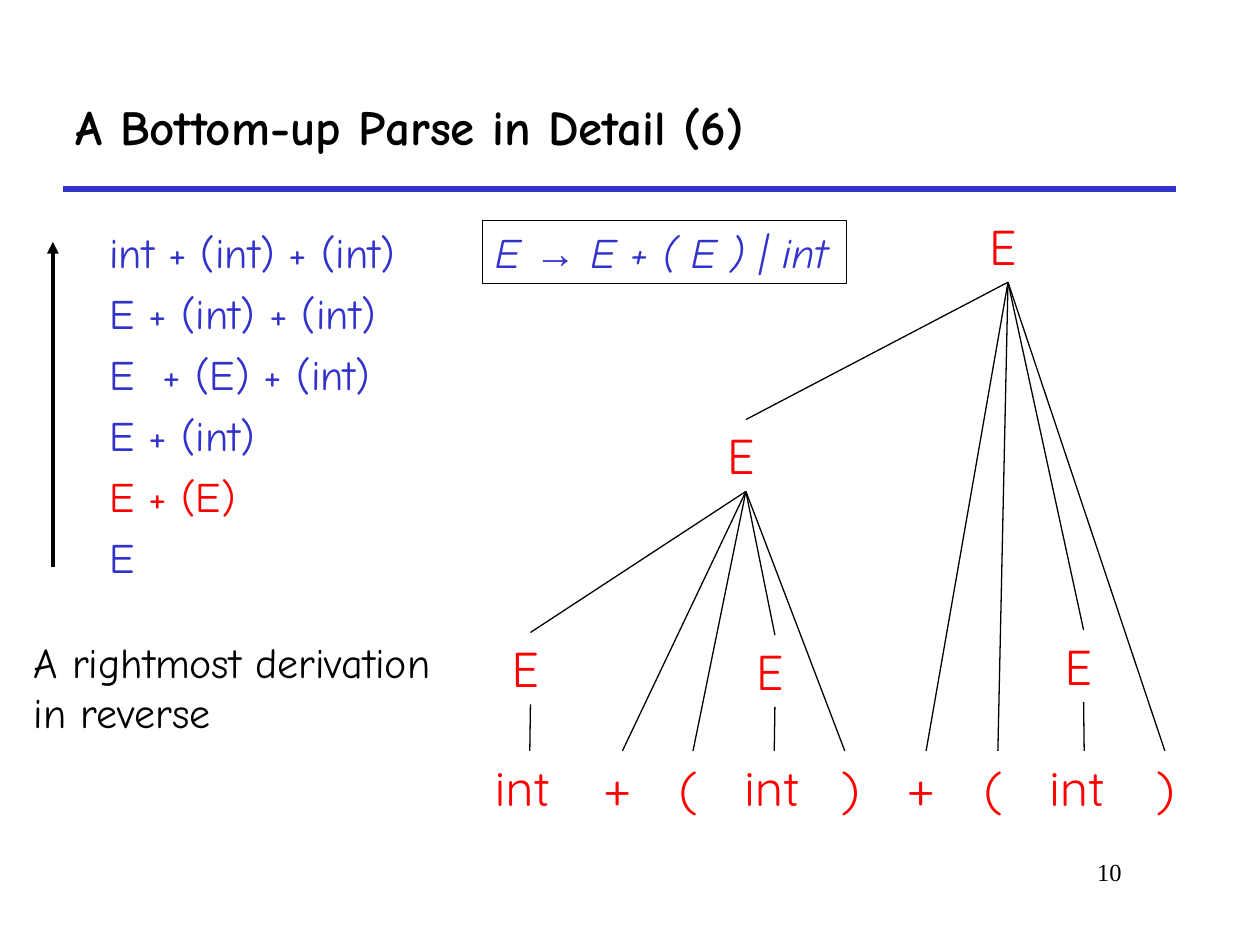
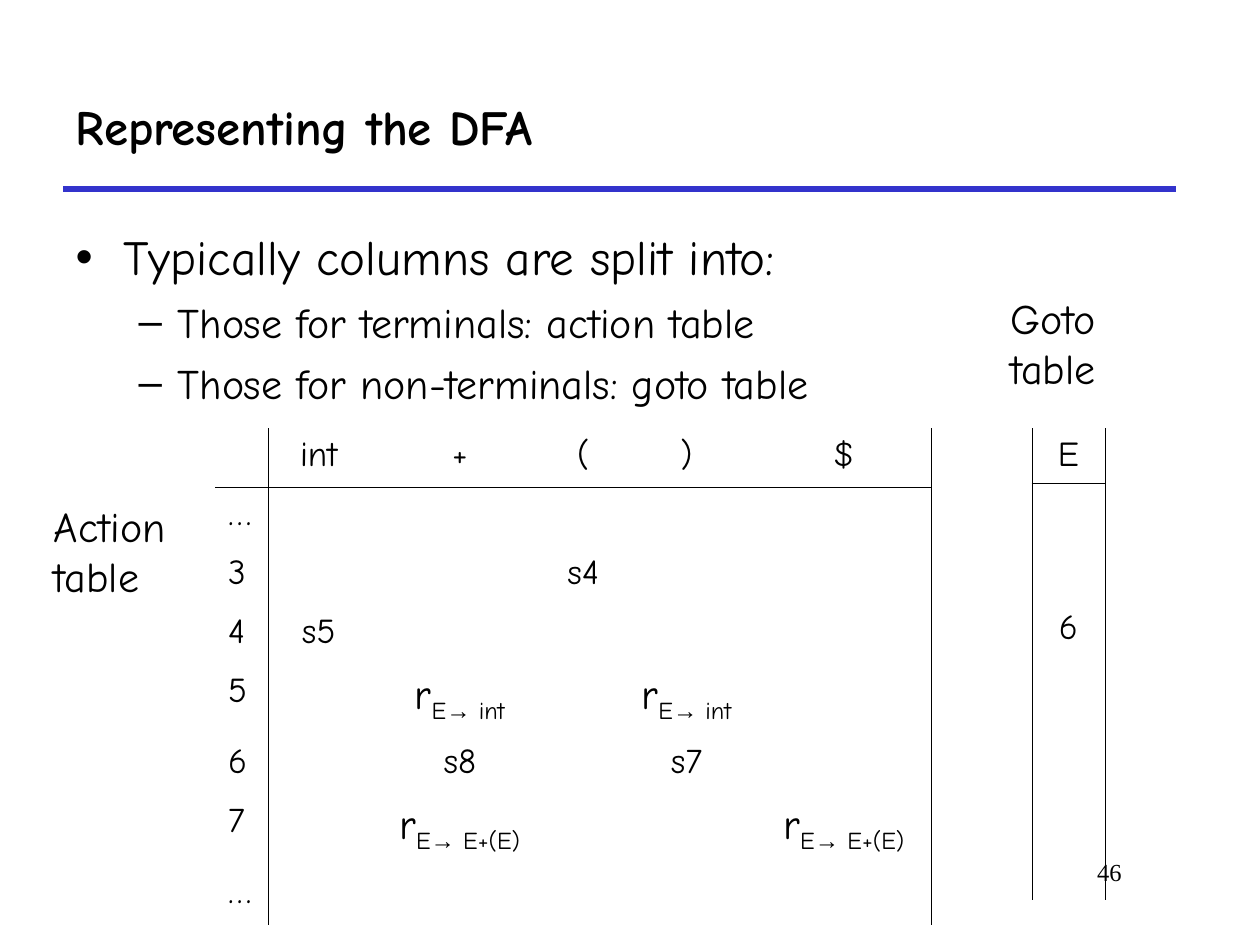
from dataclasses import dataclass

import pptx
import pptx.dml.color
import pptx.enum.shapes
import pptx.enum.text
import pptx.oxml
import pptx.oxml.ns
import pptx.util
from lxml import etree

Inches = pptx.util.Inches
Pt = pptx.util.Pt
ALIGN = pptx.enum.text.PP_ALIGN
ANCHOR = pptx.enum.text.MSO_ANCHOR


@dataclass(frozen=True)
class Theme:
    black: str = "000000"
    blue: str = "3333CC"
    red: str = "FF0000"
    text_font: str = "Comic Neue"
    tree_font: str = "Quicksand"
    arrow_font: str = "Arial"
    number_font: str = "Times New Roman"
    large: int = 28
    medium: int = 24
    cell: int = 20
    number: int = 14
    blank_cell: int = 12
    thick: float = 3
    arrow: float = 2.25
    thin: float = 0.75
    hairline: float = 0.45


THEME = Theme()


@dataclass(frozen=True)
class Box:
    left: float
    top: float
    width: float
    height: float

    def inner(self, left, top, width, height):
        return Box(self.left + left, self.top + top, width, height)

    def lengths(self):
        return [Inches(n) for n in (self.left, self.top, self.width, self.height)]

    def move(self, shape):
        shape.left, shape.top, shape.width, shape.height = self.lengths()


@dataclass(frozen=True)
class Node:
    label: str
    left: float
    top: float
    width: float
    children: tuple = ()


# Shared text and line helpers
def rgb(color):
    return pptx.dml.color.RGBColor.from_string(color)


def sub_element(parent, tag, **attributes):
    return etree.SubElement(parent, pptx.oxml.ns.qn(tag), attributes)


def style_font(font, size, color=THEME.black, name=THEME.text_font, bold=False, italic=False):
    font.size, font.name, font.bold, font.italic = Pt(size), name, bold, italic
    font.color.rgb = rgb(color)


def add_spans(para, text, lowered=False):
    """Add text, with each → in the arrow font and optionally lowered."""
    for piece in text.replace("→", "|→|").split("|") if "→" in text else [text]:
        span = para.add_run()
        span.text = piece
        if piece == "→":
            span.font.name = THEME.arrow_font
        if lowered:
            span._r.get_or_add_rPr().set("baseline", "-25000")


def add_label(page, box, lines, size, wrap=True, align=ALIGN.LEFT, space=0, **look):
    """Add a text box; each line is a text and its colour."""
    frame = page.shapes.add_textbox(*box.lengths()).text_frame
    frame.word_wrap = wrap
    for index, (text, color) in enumerate(lines):
        para = frame.add_paragraph() if index else frame.paragraphs[0]
        para.alignment, para.space_before = align, Pt(space)
        add_spans(para, text)
        style_font(para.font, size, color, **look)


def add_line(page, start, end, width=THEME.thin, color=THEME.black, arrow=False):
    line = page.shapes.add_connector(
        pptx.enum.shapes.MSO_CONNECTOR.STRAIGHT, *[Inches(n) for n in (*start, *end)])
    line.line.width = Pt(width)
    line.line.color.rgb = rgb(color)
    if arrow:
        sub_element(line.line._get_or_add_ln(), "a:tailEnd", type="triangle")
    sub_element(line._element.spPr, "a:effectLst")


# Slide frame: title, rule and page number
def add_page(deck, layout, title, number):
    page = deck.slides.add_slide(deck.slide_layouts[layout])
    Box(0.5, 0.5, 8.83, 1).move(page.shapes.title)
    frame = page.shapes.title.text_frame
    frame.vertical_anchor = ANCHOR.MIDDLE
    para = frame.paragraphs[0]
    para.text, para.alignment = title, ALIGN.LEFT
    style_font(para.font, THEME.large, bold=True)
    add_line(page, (0.5, 1.5), (9.33, 1.5), THEME.thick, THEME.blue)
    add_label(page, Box(6.92, 6.75, 2.08, 0.5), [(number, THEME.black)],
              THEME.number, align=ALIGN.RIGHT, name=THEME.number_font)
    return page


# Parse slide
def add_derivation(page, box):
    steps = ["int + (int) + (int)", "E + (int) + (int)", "E  + (E) + (int)",
             "E + (int)", "E + (E)", "E"]
    current = "E + (E)"
    lines = [(step, THEME.red if step == current else THEME.blue) for step in steps]
    add_label(page, box.inner(0.6, 0, 2.47, 2.92), lines, THEME.medium, wrap=False, space=6)
    x = box.left + 0.25
    add_line(page, (x, box.top + 2.75), (x, box.top + 0.17), THEME.arrow, arrow=True)
    add_label(page, box.inner(0, 3.25, 3.67, 0.9),
              [("A rightmost derivation in reverse", THEME.black)], THEME.medium)


def add_grammar(page, box):
    frame_box = page.shapes.add_shape(pptx.enum.shapes.MSO_SHAPE.RECTANGLE, *box.lengths())
    frame_box.shadow.inherit = False
    frame_box.fill.background()
    frame_box.line.color.rgb = rgb(THEME.black)
    frame_box.line.width = Pt(THEME.thin)
    frame_box.text_frame.word_wrap = False
    para = frame_box.text_frame.paragraphs[0]
    para.alignment = ALIGN.LEFT
    para.font.size = Pt(THEME.medium)
    for index, text in enumerate(["E →", " E + ( E ) ", "|", " int"]):
        add_spans(para, text)
    style_font(para.font, THEME.medium, THEME.blue, italic=True)


def add_tree(page, box, node, parent_foot=None):
    """Draw a node, the line from its parent, and its children."""
    height = 0.57
    place = box.inner(node.left, node.top, node.width, height)
    add_label(page, place, [(node.label, THEME.red)], THEME.large, name=THEME.tree_font)
    center = place.left + node.width / 2
    if parent_foot:
        add_line(page, parent_foot, (center, place.top))
    for child in node.children:
        add_tree(page, box, child, (center, place.top + height))


def parse_tree():
    def leaf(label, left, width):
        return Node(label, left, 4.29, width)

    def integer(left, top, leaf_left, leaf_width):
        return Node("E", left, top, 0.5, (leaf("int", leaf_left, leaf_width),))

    inner_sum = Node("E", 1.84, 1.66, 0.5, (
        integer(0.13, 3.35, 0, 0.75), leaf("+", 0.86, 0.5), leaf("(", 1.46, 0.42),
        integer(2.07, 3.37, 1.98, 0.67), leaf(")", 2.75, 0.25)))
    return Node("E", 3.92, 0, 0.5, (
        inner_sum, leaf("+", 3.27, 0.5), leaf("(", 3.88, 0.42),
        integer(4.52, 3.33, 4.4, 0.75), leaf(")", 5.25, 0.33)))


def build_parse_page(deck):
    page = add_page(deck, 5, "A Bottom-up Parse in Detail (6)", "10")
    add_tree(page, Box(3.83, 1.67, 5.58, 4.86), parse_tree())
    add_derivation(page, Box(0.17, 1.75, 3.67, 4.15))
    add_grammar(page, Box(3.83, 1.75, 2.89, 0.5))


# Table slide
def add_bullets(page, box):
    body = page.placeholders[1]
    box.move(body)
    frame = body.text_frame
    frame.auto_size = pptx.enum.text.MSO_AUTO_SIZE.NONE
    levels = [("•", 0.38, 0.38, 7, THEME.large), ("–", 0.81, 0.31, 6, THEME.medium)]
    lines = [(0, "Typically columns are split into:"),
             (1, "Those for terminals: action table"),
             (1, "Those for non-terminals: goto table")]
    for index, (level, text) in enumerate(lines):
        mark, margin, hanging, space, size = levels[level]
        para = frame.add_paragraph() if index else frame.paragraphs[0]
        para.text, para.level, para.space_before = text, level, Pt(space)
        props = para._p.get_or_add_pPr()
        props.set("marL", str(Inches(margin)))
        props.set("indent", str(-Inches(hanging)))
        sub_element(props, "a:buChar", char=mark)
        style_font(para.font, size)


def set_borders(cell, sides):
    props = cell._tc.get_or_add_tcPr()
    for side in "LRTB":
        line = sub_element(props, "a:ln" + side, w=str(Pt(THEME.hairline)))
        if side in sides:
            fill = sub_element(line, "a:solidFill")
            sub_element(fill, "a:srgbClr", val=THEME.black)
        else:
            sub_element(line, "a:noFill")


def fill_cell(cell, text, align):
    """Write a cell; the part after _ is a subscript."""
    para = cell.text_frame.paragraphs[0]
    para.alignment = align
    base, mark, lowered = text.partition("_")
    if text:
        add_spans(para, base)
    if mark:
        add_spans(para, lowered, lowered=True)
    size = THEME.medium if mark else THEME.cell if text else THEME.blank_cell
    style_font(para.font, size)


def add_grid(page, box, widths, heights, entries, edges, left_columns=()):
    """Add a table with vertical rules at the given column edges."""
    table = page.shapes.add_table(len(heights), len(widths), *box.lengths()).table
    table.first_row = table.horz_banding = False
    for column, width in zip(table.columns, widths):
        column.width = Inches(width)
    for row, height in zip(table.rows, heights):
        row.height = Inches(height)
    for r, texts in enumerate(entries):
        for c, text in enumerate(texts):
            cell = table.cell(r, c)
            sides = "L" * (c in edges) + "R" * (c + 1 in edges) + "B" * (r == 0) + "T" * (r == 1)
            set_borders(cell, sides)
            cell.fill.background()
            fill_cell(cell, text, ALIGN.LEFT if c in left_columns else ALIGN.CENTER)


def add_action_table(page, box):
    entries = [["", "int", "+", "(", ")", "$"],
               ["…", "", "", "", "", ""],
               ["3", "", "", "s4", "", ""],
               ["4", "s5", "", "", "", ""],
               ["5", "", "r_E→ int", "", "r_E→ int", ""],
               ["6", "", "s8", "", "s7", ""],
               ["7", "", "r_E→ E+(E)", "", "", "r_E→ E+(E)"],
               ["…", "", "", "", "", ""]]
    heights = [0.56 if any("_" in text for text in row) else 0.47 for row in entries]
    add_grid(page, box.inner(1.38, 0, 5.67, 3.6), [0.42, 0.8, 1.44, 0.52, 1.12, 1.38],
             heights, entries, edges={1, 6}, left_columns={0})
    add_label(page, box.inner(0, 0.52, 1.25, 0.9), [("Action table", THEME.black)], THEME.medium)


def add_goto_table(page, box):
    entries = [[text] for text in ("E", "", "", "6", "", "", "", "")]
    heights = [0.43, 0.47, 0.47, 0.43, 0.5, 0.47, 0.5, 0.47]
    add_label(page, box.inner(0, 0, 1.08, 0.9), [("Goto table", THEME.black)], THEME.medium)
    add_grid(page, box.inner(0.27, 1.13, 0.58, 3.74), [0.58], heights, entries, edges={0, 1})


def build_table_page(deck):
    page = add_page(deck, 1, "Representing the DFA", "46")
    add_bullets(page, Box(0.5, 1.75, 9.08, 4.83))
    add_action_table(page, Box(0.33, 3.4, 7.05, 3.94))
    add_goto_table(page, Box(7.92, 2.27, 1.08, 4.87))


def main():
    deck = pptx.Presentation()
    deck.slide_width, deck.slide_height = Inches(10), Inches(7.5)
    build_parse_page(deck)
    build_table_page(deck)
    deck.save("out.pptx")


if __name__ == "__main__":
    main()
